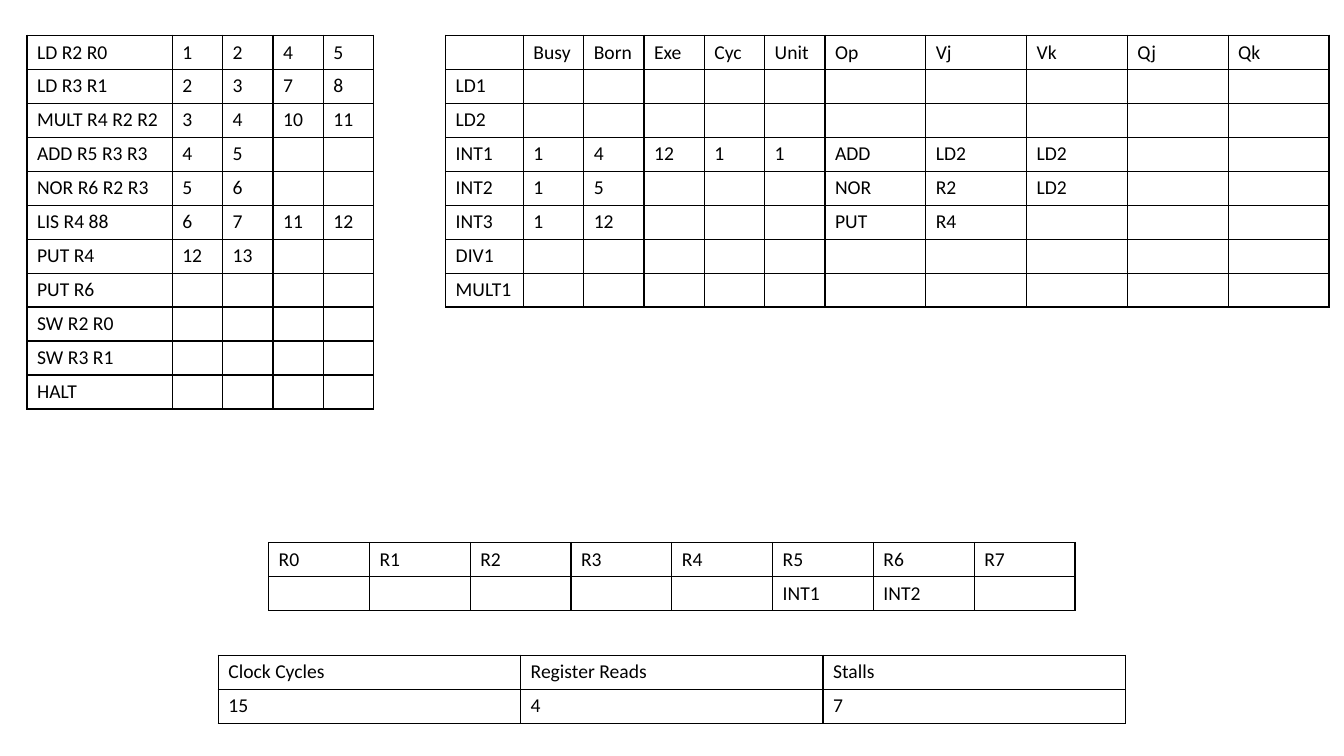
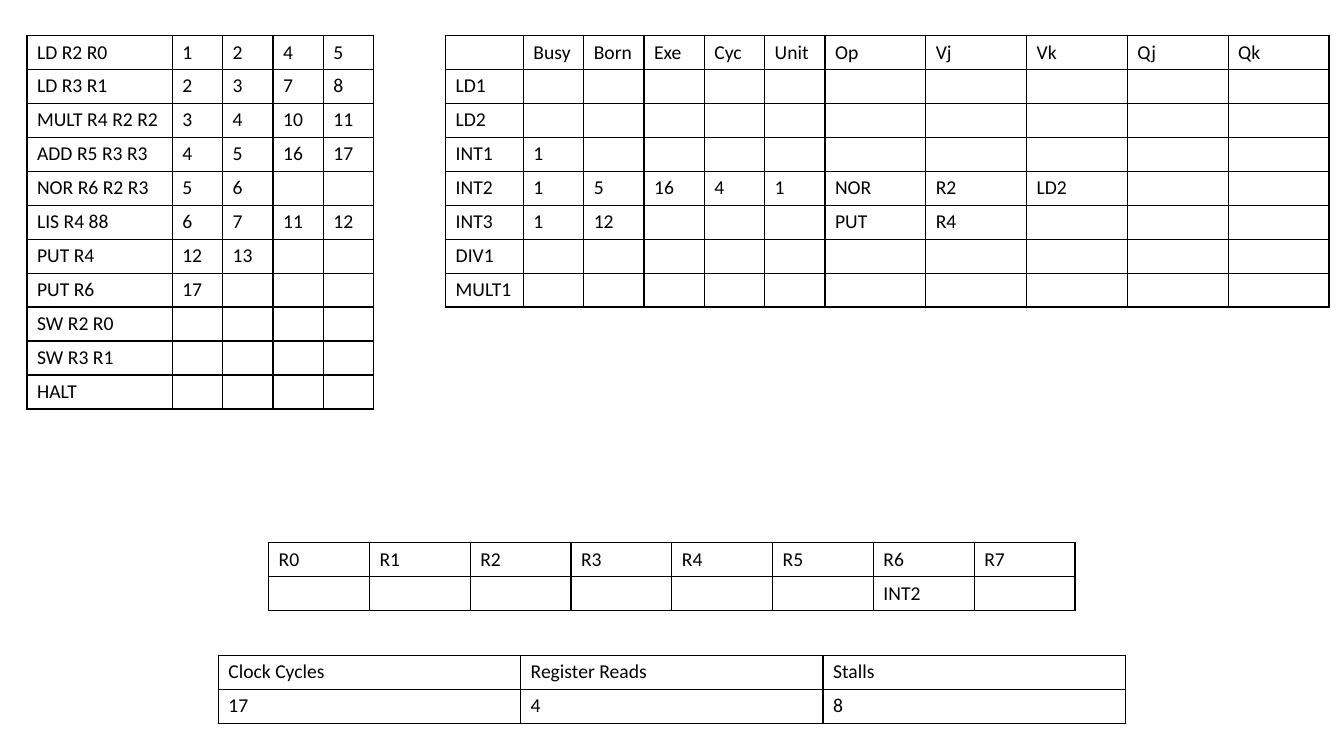
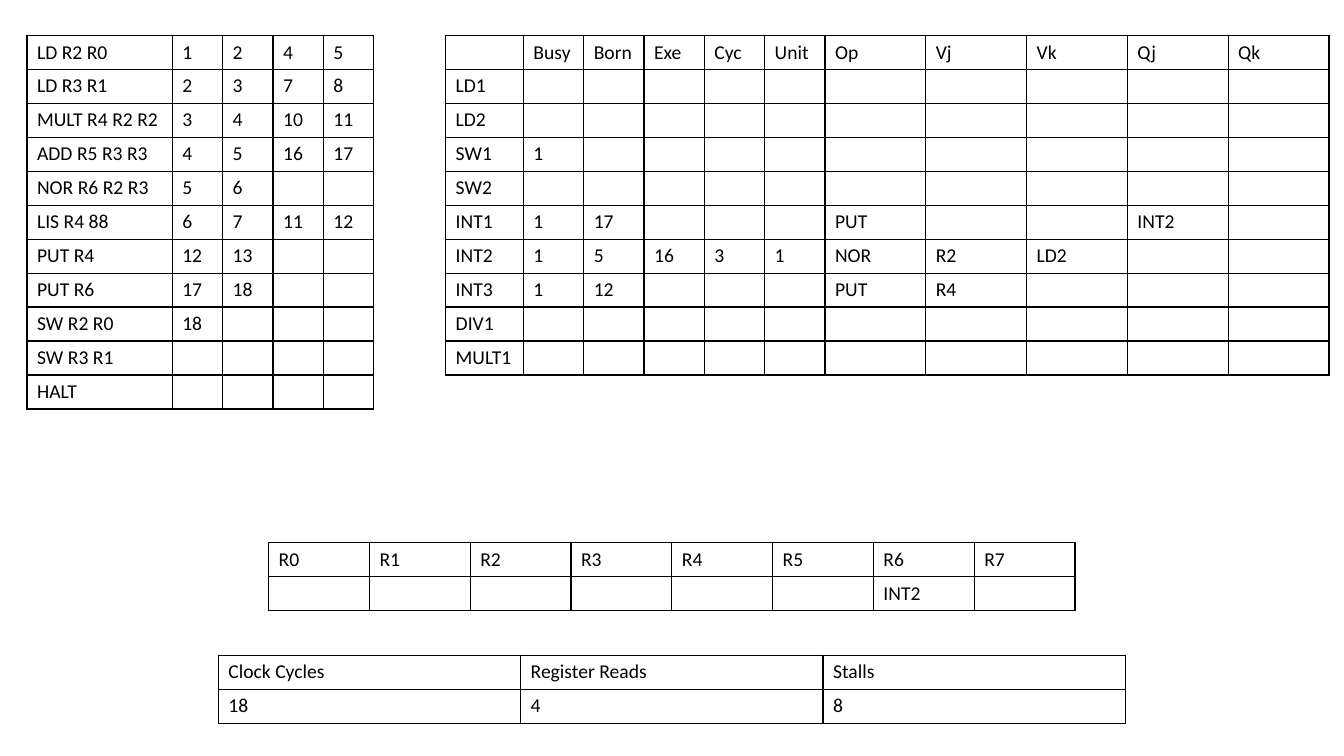
from lxml import etree
from pptx import Presentation
from pptx.dml import color
from pptx.oxml import ns
from pptx.util import Cm, Pt

COLOURS = {"text": "000000", "border": "000000"}

UNIT_HEADINGS = ["", "Busy", "Born", "Exe", "Cyc", "Unit", "Op", "Vj", "Vk", "Qj", "Qk"]
REGISTERS = [f"R{number}" for number in range(8)]
TOTALS = ["Clock Cycles", "Register Reads", "Stalls"]

INSTRUCTIONS = {
    "LD R2 R0": [1, 2, 4, 5],
    "LD R3 R1": [2, 3, 7, 8],
    "MULT R4 R2 R2": [3, 4, 10, 11],
    "ADD R5 R3 R3": [4, 5],
    "NOR R6 R2 R3": [5, 6],
    "LIS R4 88": [6, 7, 11, 12],
    "PUT R4": [12, 13],
    "PUT R6": [],
    "SW R2 R0": [],
    "SW R3 R1": [],
    "HALT": [],
}
UNITS = {name: [] for name in ["LD1", "LD2", "INT1", "INT2", "INT3", "DIV1", "MULT1"]}
UNITS["INT3"] = [1, 12, "", "", "", "PUT", "R4"]
UNITS_WITH_STORES = {name: [] for name in ["LD1", "LD2", "SW1", "SW2"]} | UNITS

STEPS = [
    {
        "progress": {},
        "units": UNITS | {
            "INT1": [1, 4, 12, 1, 1, "ADD", "LD2", "LD2"],
            "INT2": [1, 5, "", "", "", "NOR", "R2", "LD2"],
        },
        "waiting": {"R5": "INT1", "R6": "INT2"},
        "totals": [15, 4, 7],
    },
    {
        "progress": {"ADD R5 R3 R3": [4, 5, 16, 17], "PUT R6": [17]},
        "units": UNITS | {
            "INT1": [1],
            "INT2": [1, 5, 16, 4, 1, "NOR", "R2", "LD2"],
        },
        "waiting": {"R6": "INT2"},
        "totals": [17, 4, 8],
    },
    {
        "progress": {"PUT R6": [17, 18], "SW R2 R0": [18]},
        "units": UNITS_WITH_STORES | {
            "SW1": [1],
            "INT1": [1, 17, "", "", "", "PUT", "", "", "INT2"],
            "INT2": [1, 5, 16, 3, 1, "NOR", "R2", "LD2"],
        },
        "waiting": {"R6": "INT2"},
        "totals": [18, 4, 8],
    },
]


class Deck:
    font_name = "Calibri"
    font_size = Pt(14)
    border_width = Pt(1)
    row_height = Cm(0.85)

    def __init__(self):
        self.presentation = Presentation()
        self.presentation.slide_width = Cm(33.87)
        self.presentation.slide_height = Cm(19.05)
        self.slide = None

    def add_slide(self):
        blank_layout = self.presentation.slide_layouts[6]
        self.slide = self.presentation.slides.add_slide(blank_layout)

    def add_grid(self, left, top, widths, rows):
        columns = [Cm(width) for width in widths]
        shape = self.slide.shapes.add_table(
            len(rows), len(columns), Cm(left), Cm(top),
            sum(columns), self.row_height * len(rows))
        table = shape.table
        table.first_row = False
        table.horz_banding = False
        for column, width in zip(table.columns, columns):
            column.width = width
        for row, values in zip(table.rows, rows):
            row.height = self.row_height
            padded = list(values) + [""] * (len(columns) - len(values))
            for cell, value in zip(row.cells, padded):
                self.add_borders(cell)
                cell.fill.background()
                self.add_text(cell, str(value))

    def add_text(self, cell, content):
        paragraph = cell.text_frame.paragraphs[0]
        if content:
            run = paragraph.add_run()
            run.text = content
            run.font.name = self.font_name
            run.font.size = self.font_size
            run.font.color.rgb = color.RGBColor.from_string(COLOURS["text"])
        else:
            ending = etree.SubElement(paragraph._p, ns.qn("a:endParaRPr"))
            ending.set("sz", str(int(self.font_size.pt * 100)))
            etree.SubElement(ending, ns.qn("a:latin")).set("typeface", self.font_name)

    def add_borders(self, cell):
        properties = cell._tc.get_or_add_tcPr()
        for side in ("lnL", "lnR", "lnT", "lnB"):
            line = etree.SubElement(properties, ns.qn(f"a:{side}"))
            line.set("w", str(int(self.border_width)))
            fill = etree.SubElement(line, ns.qn("a:solidFill"))
            etree.SubElement(fill, ns.qn("a:srgbClr")).set("val", COLOURS["border"])

    def save(self):
        self.presentation.save("out.pptx")


def named_rows(entries):
    return [[name, *values] for name, values in entries.items()]


deck = Deck()
instructions = INSTRUCTIONS
for step in STEPS:
    instructions = instructions | step["progress"]
    waiting = [step["waiting"].get(register, "") for register in REGISTERS]
    deck.add_slide()
    deck.add_grid(0.68, 0.89, [3.66] + [1.27] * 4, named_rows(instructions))
    deck.add_grid(11.23, 0.89, [1.96] + [1.52] * 5 + [2.54] * 5,
                  [UNIT_HEADINGS] + named_rows(step["units"]))
    deck.add_grid(6.77, 13.67, [2.54] * 8, [REGISTERS, waiting])
    deck.add_grid(5.5, 16.51, [7.62] * 3, [TOTALS, step["totals"]])
deck.save()
